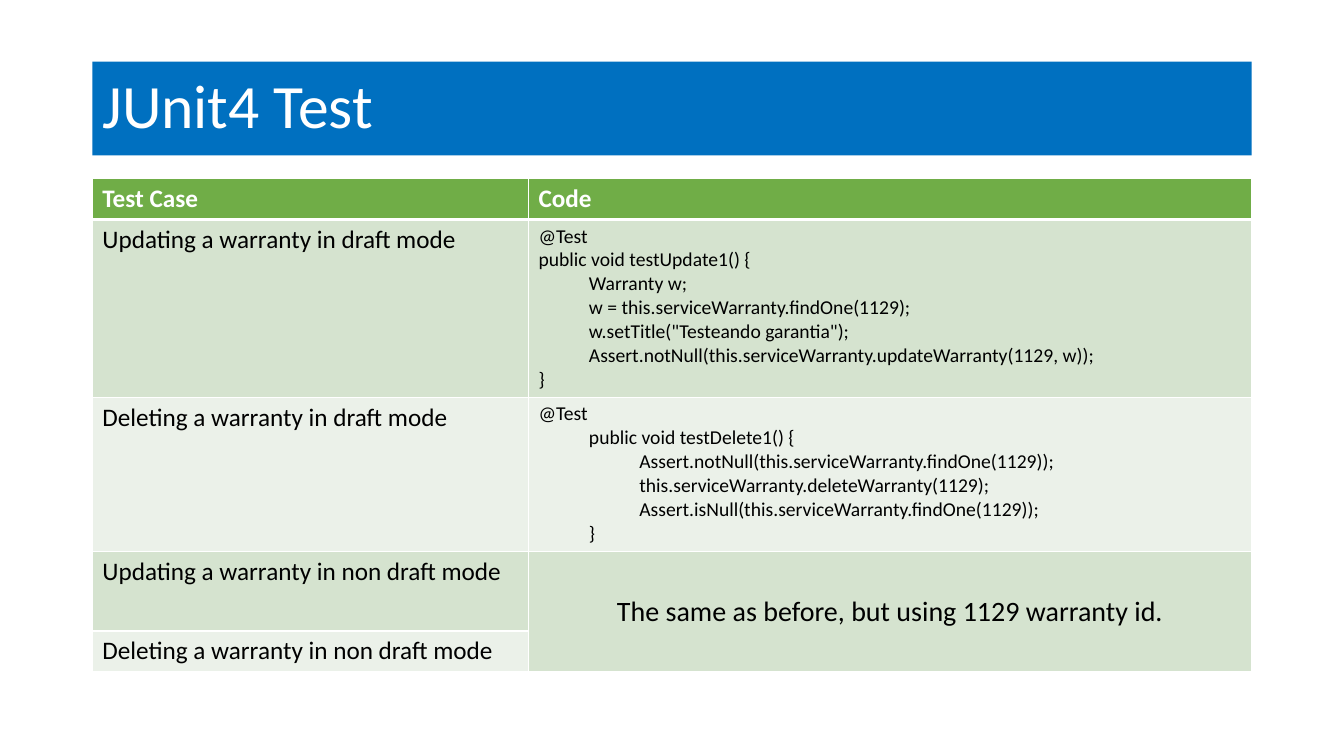
import pptx
import pptx.dml.color
import pptx.enum.text
import pptx.oxml
import pptx.oxml.ns
import pptx.util

Pt = pptx.util.Pt
PP_ALIGN = pptx.enum.text.PP_ALIGN
MSO_ANCHOR = pptx.enum.text.MSO_ANCHOR


def rgb(hex_color):
    return pptx.dml.color.RGBColor.from_string(hex_color)


def write(tf, text, size=18, color="000000", bold=False,
          align=PP_ALIGN.LEFT, anchor=MSO_ANCHOR.TOP, spacing=1.0):
    """Put text into a frame, one paragraph per line."""
    tf.vertical_anchor = anchor
    for i, line in enumerate(text.split("\n")):
        p = tf.paragraphs[0] if i == 0 else tf.add_paragraph()
        p.alignment = align
        p.line_spacing = spacing
        r = p.add_run()
        r.text = line
        r.font.name = "Calibri"
        r.font.size = Pt(size)
        r.font.bold = bold
        r.font.color.rgb = rgb(color)


class Deck:
    BLUE, GREEN, WHITE = "0070C0", "70AD47", "FFFFFF"
    BANDS = "D5E3CF", "EBF1E9"

    def __init__(self):
        self.prs = pptx.Presentation()
        self.prs.slide_width, self.prs.slide_height = Pt(960), Pt(540)
        self.s = self.prs.slides.add_slide(self.prs.slide_layouts[5])

    def title(self, text, x, y, w, h):
        sp = self.s.shapes.title
        sp.left, sp.top, sp.width, sp.height = Pt(x), Pt(y), Pt(w), Pt(h)
        sp.fill.solid()
        sp.fill.fore_color.rgb = rgb(self.BLUE)
        sp.text_frame.auto_size = pptx.enum.text.MSO_AUTO_SIZE.NONE
        write(sp.text_frame, text, size=44, color=self.WHITE,
              anchor=MSO_ANCHOR.MIDDLE, spacing=0.9)

    def borders(self, cell, bottom):
        """White edges; they must precede the fill in the cell properties."""
        tcPr = cell._tc.get_or_add_tcPr()
        for i, (side, width) in enumerate(
                (("L", 1), ("R", 1), ("T", 1), ("B", bottom))):
            tcPr.insert(i, pptx.oxml.parse_xml(
                f'<a:ln{side} {pptx.oxml.ns.nsdecls("a")} w="{Pt(width)}">'
                f'<a:solidFill><a:srgbClr val="{self.WHITE}"/></a:solidFill>'
                f'</a:ln{side}>'))

    def table(self, rows, x, y, widths, heights):
        tb = self.s.shapes.add_table(
            len(rows), len(widths), Pt(x), Pt(y),
            Pt(sum(widths)), Pt(sum(heights))).table
        for col, w in zip(tb.columns, widths):
            col.width = Pt(w)
        for i, (row, h) in enumerate(zip(rows, heights)):
            tb.rows[i].height = Pt(h)
            for j, (text, style) in enumerate(row):
                cell = tb.cell(i, j)
                cell.fill.solid()
                cell.fill.fore_color.rgb = rgb(
                    self.BANDS[(i - 1) % 2] if i else self.GREEN)
                self.borders(cell, bottom=1 if i else 3)
                if text:
                    write(cell.text_frame, text, **style)
                    cell.vertical_anchor = style.get("anchor", MSO_ANCHOR.TOP)
        return tb


# Code samples
UPDATE = """@Test
public void testUpdate1() {
	Warranty w;
	w = this.serviceWarranty.findOne(1129);
	w.setTitle("Testeando garantia");
	Assert.notNull(this.serviceWarranty.updateWarranty(1129, w));
}"""
DELETE = """@Test
	public void testDelete1() {
		Assert.notNull(this.serviceWarranty.findOne(1129));
		this.serviceWarranty.deleteWarranty(1129);
		Assert.isNull(this.serviceWarranty.findOne(1129));
	}"""


def main():
    deck = Deck()
    deck.title("JUnit4 Test", 66, 44, 828, 67)

    # Test cases and their code
    head = dict(color=Deck.WHITE, bold=True)
    code = dict(size=14)
    note = dict(size=20, align=PP_ALIGN.CENTER, anchor=MSO_ANCHOR.MIDDLE)
    tb = deck.table([
        [("Test Case", head), ("Code", head)],
        [("Updating a warranty in draft mode", {}), (UPDATE, code)],
        [("Deleting a warranty in draft mode", {}), (DELETE, code)],
        [("Updating a warranty in non draft mode", {}),
         ("The same as before, but using 1129 warranty id.", note)],
        [("Deleting a warranty in non draft mode", {}), ("", {})],
    ], 66, 127.5, widths=(311.5, 516.5), heights=(29, 127, 110, 57, 29))

    # One note covers both non draft cases
    tb.cell(3, 1).merge(tb.cell(4, 1))

    deck.prs.save("out.pptx")


if __name__ == "__main__":
    main()
